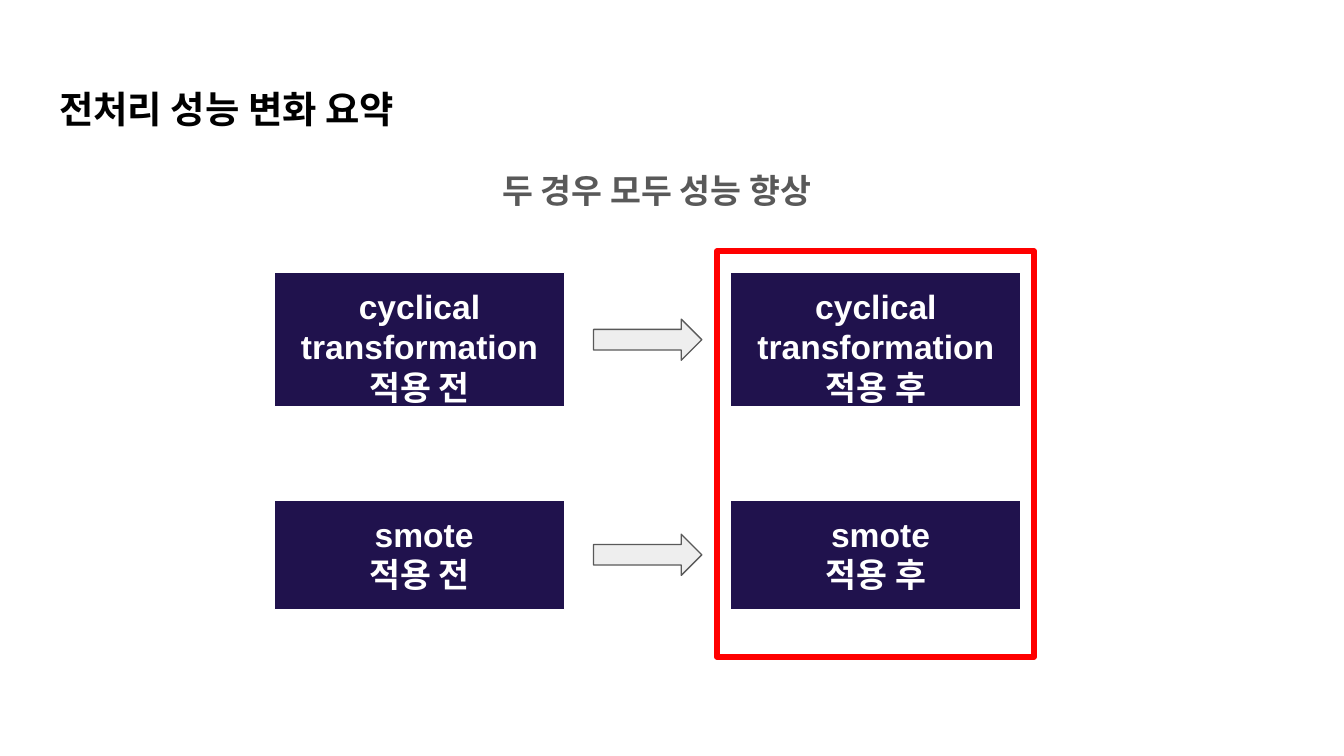
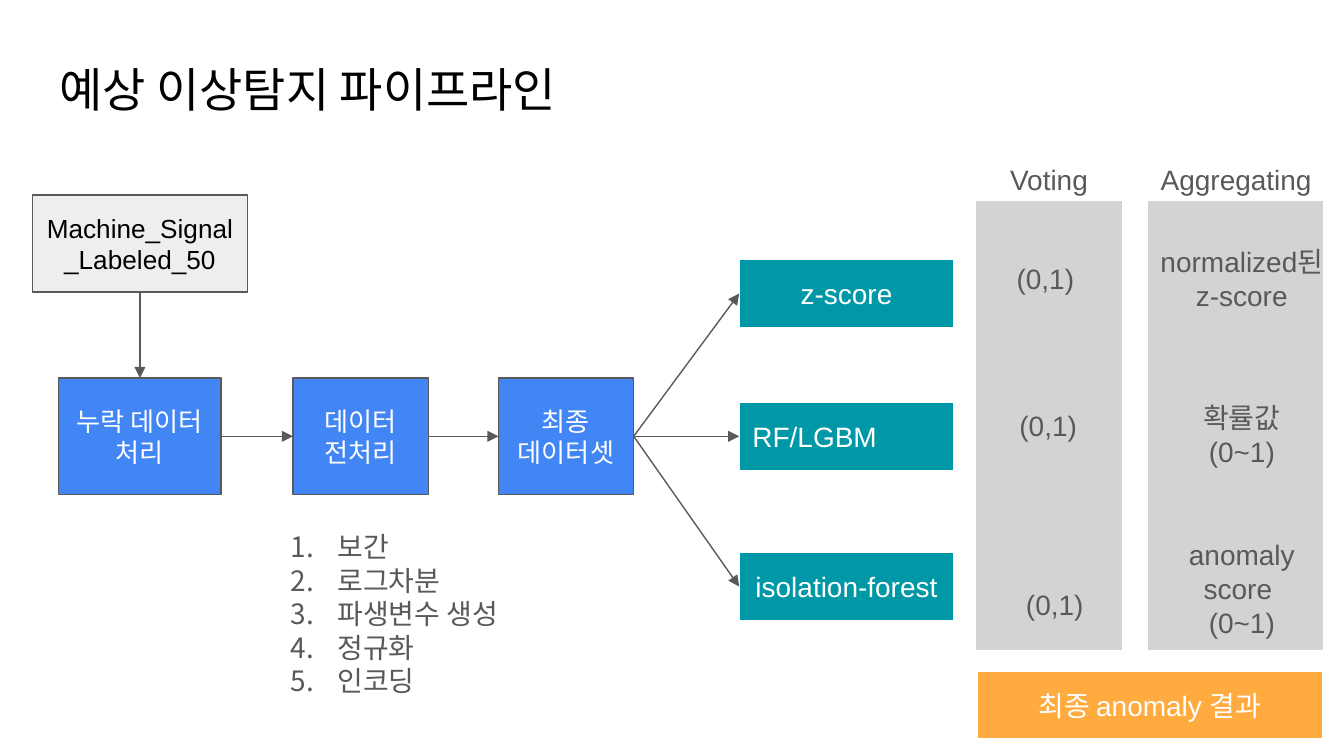
"""Build two slides on preprocessing gains and an anomaly detection pipeline."""
from dataclasses import dataclass

from lxml import etree
from pptx import Presentation
from pptx.dml.color import RGBColor
from pptx.enum import shapes, text
from pptx.oxml import ns
from pptx.util import Pt


@dataclass(frozen=True)
class Theme:
    font: str = "Arial"
    black: str = "000000"
    white: str = "FFFFFF"
    gray: str = "595959"
    pale: str = "EEEEEE"
    column: str = "D3D3D3"
    navy: str = "20124D"
    blue: str = "4285F4"
    teal: str = "0097A7"
    orange: str = "FFAB40"
    red: str = "FF0000"
    small: float = 14
    body: float = 15
    large: float = 18
    title_bold: float = 20
    title: float = 25.2
    inset: float = 7.2
    hairline: float = 0.75


CENTER, LEFT = text.PP_ALIGN.CENTER, text.PP_ALIGN.LEFT
TOP, MIDDLE = text.MSO_ANCHOR.TOP, text.MSO_ANCHOR.MIDDLE
RECTANGLE, ARROW = shapes.MSO_SHAPE.RECTANGLE, shapes.MSO_SHAPE.RIGHT_ARROW
SIDE_TOP, SIDE_LEFT, SIDE_BOTTOM, SIDE_RIGHT = range(4)


class Deck:
    def __init__(self, theme):
        self.theme = theme
        self.presentation = Presentation()
        self.presentation.slide_width = Pt(720)
        self.presentation.slide_height = Pt(405)
        self.slide = None
        self.shapes = None

    def add_slide(self, layout):
        self.slide = self.presentation.slides.add_slide(self.presentation.slide_layouts[layout])
        self.shapes = self.slide.shapes

    def start_group(self):
        self.shapes = self.slide.shapes.add_group_shape().shapes

    def set_text(self, shape, words, size, color, bold=False, align=CENTER, anchor=TOP):
        frame = shape.text_frame
        frame.text = words
        frame.word_wrap = True
        frame.auto_size = text.MSO_AUTO_SIZE.NONE
        frame.vertical_anchor = anchor
        frame.margin_left = frame.margin_right = Pt(self.theme.inset)
        frame.margin_top = frame.margin_bottom = Pt(self.theme.inset)
        for paragraph in frame.paragraphs:
            paragraph.alignment = align
            for run in paragraph.runs:
                run.font.name = self.theme.font
                run.font.size = Pt(size)
                run.font.bold = bold
                run.font.color.rgb = RGBColor.from_string(color)

    def place(self, shape, left, top, width, height):
        shape.left, shape.top = Pt(left), Pt(top)
        shape.width, shape.height = Pt(width), Pt(height)

    def title(self, words, top, size, bold=False, spacing=1.0):
        shape = self.slide.shapes.title
        self.place(shape, 24.5, top, 671, 45.5)
        self.set_text(shape, words, size, self.theme.black, bold, LEFT)
        shape.text_frame.paragraphs[0].line_spacing = spacing

    def numbered_list(self, items, *box):
        shape = self.slide.placeholders[1]
        self.place(shape, *box)
        self.set_text(shape, "\n".join(items), self.theme.body, self.theme.gray, align=LEFT)
        for paragraph in shape.text_frame.paragraphs:
            paragraph.space_before = Pt(0)
            properties = paragraph._p.get_or_add_pPr()
            properties.set("marL", str(Pt(36)))
            properties.set("indent", str(Pt(-25)))
            color = etree.SubElement(properties, ns.qn("a:buClr"))
            etree.SubElement(color, ns.qn("a:srgbClr"), val=self.theme.gray)
            etree.SubElement(properties, ns.qn("a:buFont"), typeface=self.theme.font)
            etree.SubElement(properties, ns.qn("a:buAutoNum"), type="arabicPeriod")

    def box(self, *box, fill=None, line=None, weight=None, kind=RECTANGLE):
        shape = self.shapes.add_shape(kind, *map(Pt, box))
        shape.shadow.inherit = False
        if fill:
            shape.fill.solid()
            shape.fill.fore_color.rgb = RGBColor.from_string(fill)
        else:
            shape.fill.background()
        if line:
            shape.line.color.rgb = RGBColor.from_string(line)
            shape.line.width = Pt(weight or self.theme.hairline)
        else:
            shape.line.fill.background()
        return shape

    def label(self, words, *box):
        shape = self.shapes.add_textbox(*map(Pt, box))
        self.set_text(shape, words, self.theme.body, self.theme.gray)

    def connect(self, start, start_side, end, end_side):
        connector = self.shapes.add_connector(shapes.MSO_CONNECTOR.STRAIGHT, 0, 0, 0, 0)
        connector.begin_connect(start, start_side)
        connector.end_connect(end, end_side)
        connector.line.color.rgb = RGBColor.from_string(self.theme.gray)
        connector.line.width = Pt(self.theme.hairline)
        properties = connector._element.spPr
        outline = properties.find(ns.qn("a:ln"))
        etree.SubElement(outline, ns.qn("a:tailEnd"), type="triangle")
        etree.SubElement(properties, ns.qn("a:effectLst"))


def build_summary(deck):
    theme = deck.theme
    deck.add_slide(5)
    deck.title("전처리 성능 변화 요약", 35.5, theme.title_bold, True, 1.15)
    deck.start_group()
    deck.box(384, 134.5, 170, 217.5, line=theme.red, weight=3)
    rows = [("cyclical transformation ", 146, 72), (" smote\n", 268, 58.5)]
    for method, top, height in rows:
        for left, state in ((147, "적용 전"), (391.5, "적용 후")):
            shape = deck.box(left, top, 155.5, height, fill=theme.navy, line=theme.white)
            deck.set_text(shape, method + state, theme.large, theme.white, True)
        deck.box(318, top + height / 2 - 11, 58, 22, fill=theme.pale, line=theme.gray, kind=ARROW)
    caption = deck.box(262, 84, 199, 37.5, fill=theme.white)
    deck.set_text(caption, "두 경우 모두 성능 향상", theme.large, theme.gray, True, LEFT)


def build_pipeline(deck):
    theme = deck.theme
    deck.add_slide(1)
    deck.title("예상 이상탐지 파이프라인", 25, theme.title)
    for left, width in ((615.5, 93), (523.5, 77.5)):
        deck.box(left, 108, width, 240, fill=theme.column, line=theme.column)

    source = deck.box(17.5, 104.5, 115, 52, fill=theme.pale, line=theme.gray)
    deck.set_text(source, "Machine_Signal_Labeled_50", theme.small, theme.black, anchor=MIDDLE)

    steps = []
    for words, left, width in (
        ("누락 데이터 처리", 31.5, 87),
        ("데이터 전처리", 157, 72.5),
        ("최종 데이터셋", 267, 72.5),
    ):
        step = deck.box(left, 202.5, width, 62.5, fill=theme.blue, line=theme.gray)
        deck.set_text(step, words, theme.small, theme.white, anchor=MIDDLE)
        steps.append(step)

    deck.connect(source, SIDE_BOTTOM, steps[0], SIDE_TOP)
    for start, end in zip(steps, steps[1:]):
        deck.connect(start, SIDE_RIGHT, end, SIDE_LEFT)

    for words, top, align in (
        ("z-score", 139, CENTER),
        ("RF/LGBM", 215.5, LEFT),
        ("isolation-forest", 296, CENTER),
    ):
        model = deck.box(396, top, 115, 36.5, fill=theme.teal, line=theme.white)
        deck.set_text(model, words, theme.body, theme.white, align=align, anchor=MIDDLE)
        deck.connect(steps[-1], SIDE_RIGHT, model, SIDE_LEFT)

    deck.numbered_list(
        ["보간", "로그차분", "파생변수 생성", "정규화", "인코딩"], 137.5, 276.5, 156, 98.5
    )

    deck.label("Voting", 515.5, 80, 93, 28)
    for left, top in ((513.5, 133), (515, 211.5), (518.5, 307.5)):
        deck.label("(0,1)", left, top, 93, 52)

    deck.label("Aggregating", 610, 80, 104.5, 28)
    for words, top, height in (
        ("normalized된 z-score", 124, 52),
        ("확률값\n(0~1)", 207.5, 52),
        ("anomaly score \n(0~1)", 281, 67.5),
    ):
        deck.label(words, 613, top, 104.5, height)

    result = deck.box(523.5, 359.5, 185, 36.5, fill=theme.orange, line=theme.white)
    deck.set_text(result, "최종 anomaly 결과", theme.body, theme.white, anchor=MIDDLE)


def main():
    deck = Deck(Theme())
    build_summary(deck)
    build_pipeline(deck)
    deck.presentation.save("out.pptx")


if __name__ == "__main__":
    main()
